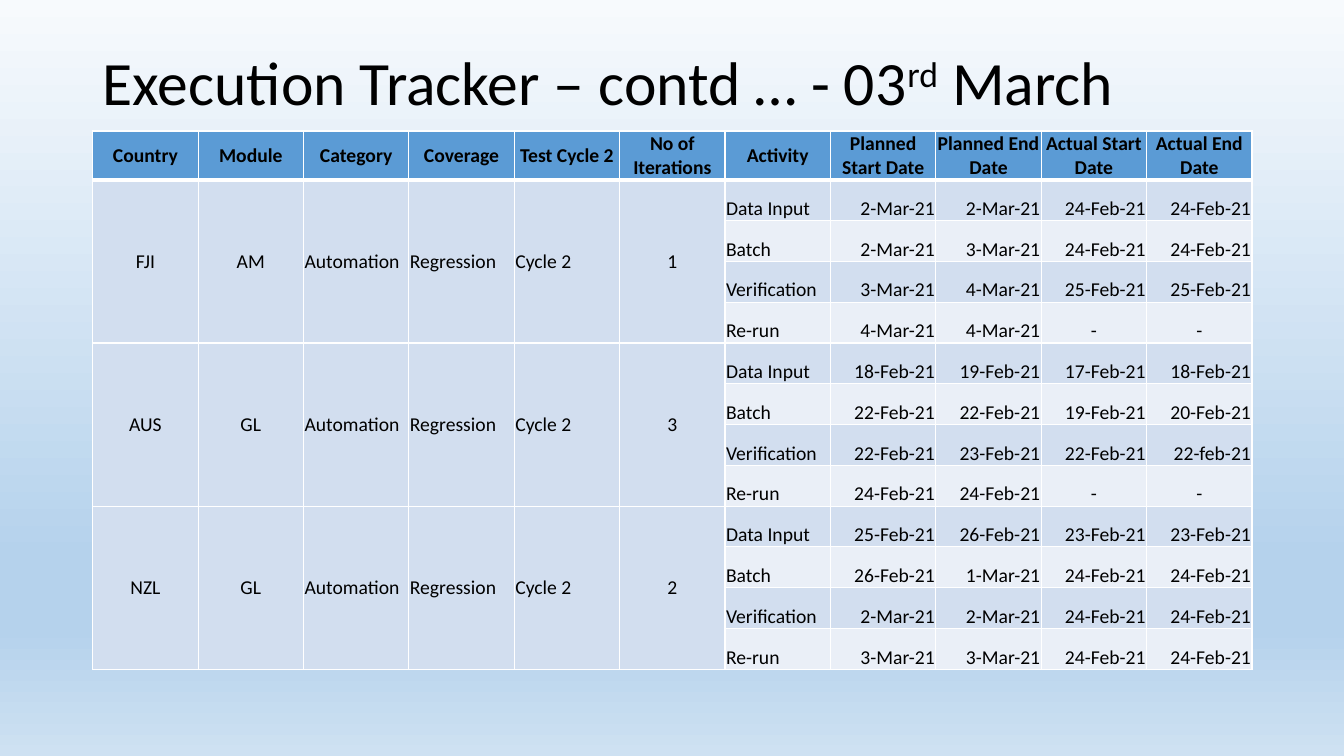
from dataclasses import dataclass

from lxml.etree import SubElement
from pptx import Presentation
from pptx.dml.color import RGBColor
from pptx.enum.text import MSO_ANCHOR as Anchor, MSO_AUTO_SIZE as AutoSize, PP_ALIGN as Align
from pptx.oxml.ns import qn
from pptx.slide import Slide
from pptx.table import Table, _Cell as Cell
from pptx.text.text import Font
from pptx.util import Inches, Pt

WIDTH, HEIGHT = Inches(13.33), Inches(7.5)
LEFT, SPAN = 0.069 * WIDTH, 0.8627 * WIDTH
TITLE_TOP, TITLE_HEIGHT = 0.0533 * HEIGHT, 0.12 * HEIGHT
TABLE_TOP, ROW_HEIGHT = 0.1733 * HEIGHT, 0.054 * HEIGHT

FONT = "Calibri"
BLACK, WHITE = "000000", "FFFFFF"
HEADER_FILL, BAND_FILLS = "5B9BD5", ("D2DEEF", "EAEFF7")
BACKGROUND_STOPS = ((0, "F7FAFD"), (74, "B5D2EC"), (83, "B5D2EC"), (100, "CEE1F2"))
THIN, THICK = 1, 3

HEADERS = (
    "Country", "Module", "Category", "Coverage", "Test Cycle 2", "No of Iterations", "Activity",
    "Planned Start Date", "Planned End Date", "Actual Start Date", "Actual End Date",
)
ACTIVITIES = ("Data Input", "Batch", "Verification", "Re-run")
SUMMARY_ALIGNS = (Align.CENTER, Align.CENTER, Align.LEFT, Align.LEFT, Align.LEFT, Align.CENTER)


@dataclass(frozen=True)
class CountryPlan:
    country: str
    module: str
    iterations: str
    dates: tuple[str, ...]  # one line of four dates per activity

    @property
    def summary(self) -> tuple[str, ...]:
        return (self.country, self.module, "Automation", "Regression", "Cycle 2", self.iterations)


PLANS = (
    CountryPlan("FJI", "AM", "1", (
        "2-Mar-21 2-Mar-21 24-Feb-21 24-Feb-21",
        "2-Mar-21 3-Mar-21 24-Feb-21 24-Feb-21",
        "3-Mar-21 4-Mar-21 25-Feb-21 25-Feb-21",
        "4-Mar-21 4-Mar-21 - -",
    )),
    CountryPlan("AUS", "GL", "3", (
        "18-Feb-21 19-Feb-21 17-Feb-21 18-Feb-21",
        "22-Feb-21 22-Feb-21 19-Feb-21 20-Feb-21",
        "22-Feb-21 23-Feb-21 22-Feb-21 22-feb-21",
        "24-Feb-21 24-Feb-21 - -",
    )),
    CountryPlan("NZL", "GL", "2", (
        "25-Feb-21 26-Feb-21 23-Feb-21 23-Feb-21",
        "26-Feb-21 1-Mar-21 24-Feb-21 24-Feb-21",
        "2-Mar-21 2-Mar-21 24-Feb-21 24-Feb-21",
        "3-Mar-21 3-Mar-21 24-Feb-21 24-Feb-21",
    )),
)


def color(value: str) -> RGBColor:
    return RGBColor.from_string(value)


def style_font(font: Font, size: float, bold: bool = False) -> None:
    font.name, font.size, font.bold = FONT, Pt(size), bold
    font.color.rgb = color(BLACK)


def paint_background(slide: Slide) -> None:
    fill = slide.background.fill
    fill.gradient()
    fill.gradient_angle = 270
    stops = slide.element.find(".//" + qn("a:gsLst"))
    stops.clear()
    for percent, value in BACKGROUND_STOPS:
        stop = SubElement(stops, qn("a:gs"), pos=str(percent * 1000))
        SubElement(stop, qn("a:srgbClr"), val=value)


def write_title(slide: Slide) -> None:
    title = slide.shapes.title
    title.left, title.top = int(LEFT), int(TITLE_TOP)
    title.width, title.height = int(SPAN), int(TITLE_HEIGHT)
    frame = title.text_frame
    frame.auto_size, frame.vertical_anchor = AutoSize.NONE, Anchor.MIDDLE
    para = frame.paragraphs[0]
    para.alignment, para.line_spacing = Align.LEFT, 0.9
    style_font(para.font, 44)
    for text, baseline in (("Execution Tracker – contd … - 03", 0), ("rd", 30), (" March", 0)):
        span = para.add_run()
        span.text = text
        if baseline:
            span._r.get_or_add_rPr().set("baseline", str(baseline * 1000))


def format_cell(cell: Cell, fill: str, top: float = THIN, bottom: float = THIN) -> None:
    """Set the borders, fill and margins of a cell."""
    properties = cell._tc.get_or_add_tcPr()
    for side, width in (("L", THIN), ("R", THIN), ("T", top), ("B", bottom)):
        line = SubElement(properties, qn(f"a:ln{side}"), w=str(Pt(width)))
        SubElement(SubElement(line, qn("a:solidFill")), qn("a:srgbClr"), val=WHITE)
    cell.fill.solid()
    cell.fill.fore_color.rgb = color(fill)
    cell.margin_left = cell.margin_right = cell.margin_top = Inches(0.01)
    cell.margin_bottom = 0


def write_cell(cell: Cell, text: str, align: Align, anchor: Anchor, bold: bool = False) -> None:
    cell.text, cell.vertical_anchor = text, anchor
    para = cell.text_frame.paragraphs[0]
    para.alignment = align
    style_font(para.font, 14, bold)


def write_plan(table: Table, first_row: int, plan: CountryPlan) -> None:
    for column, (text, align) in enumerate(zip(plan.summary, SUMMARY_ALIGNS)):
        cell = table.cell(first_row, column)
        cell.merge(table.cell(first_row + len(ACTIVITIES) - 1, column))
        write_cell(cell, text, align, Anchor.MIDDLE)
    activity_column = len(SUMMARY_ALIGNS)
    for row, (activity, dates) in enumerate(zip(ACTIVITIES, plan.dates), first_row):
        write_cell(table.cell(row, activity_column), activity, Align.LEFT, Anchor.BOTTOM)
        for column, date in enumerate(dates.split(), activity_column + 1):
            align = Align.CENTER if date == "-" else Align.RIGHT
            write_cell(table.cell(row, column), date, align, Anchor.BOTTOM)


def add_tracker(slide: Slide) -> None:
    row_count = 1 + len(PLANS) * len(ACTIVITIES)
    table = slide.shapes.add_table(
        row_count, len(HEADERS), int(LEFT), int(TABLE_TOP), int(SPAN), int(ROW_HEIGHT * row_count)
    ).table
    table.horz_banding = False
    for column, header in enumerate(HEADERS):
        cell = table.cell(0, column)
        format_cell(cell, HEADER_FILL, bottom=THICK)
        write_cell(cell, header, Align.CENTER, Anchor.MIDDLE, bold=True)
        for row in range(1, row_count):
            band = (row - 1) % 2 if column >= len(SUMMARY_ALIGNS) else 0
            format_cell(table.cell(row, column), BAND_FILLS[band], top=THICK if row == 1 else THIN)
    for index, plan in enumerate(PLANS):
        write_plan(table, 1 + index * len(ACTIVITIES), plan)


def main() -> None:
    deck = Presentation()
    deck.slide_width, deck.slide_height = WIDTH, HEIGHT
    slide = deck.slides.add_slide(deck.slide_layouts[5])
    paint_background(slide)
    write_title(slide)
    add_tracker(slide)
    deck.save("out.pptx")


if __name__ == "__main__":
    main()
